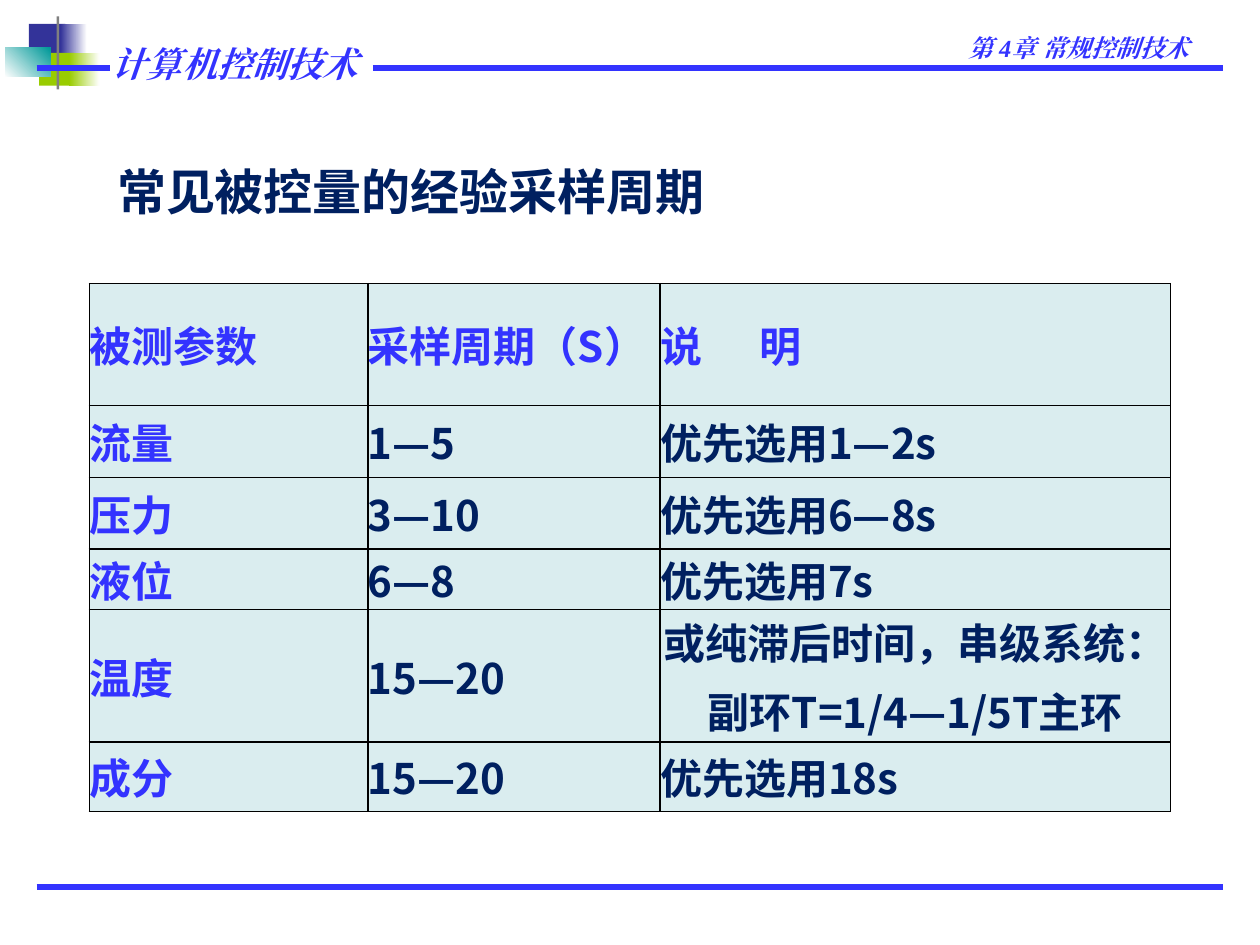
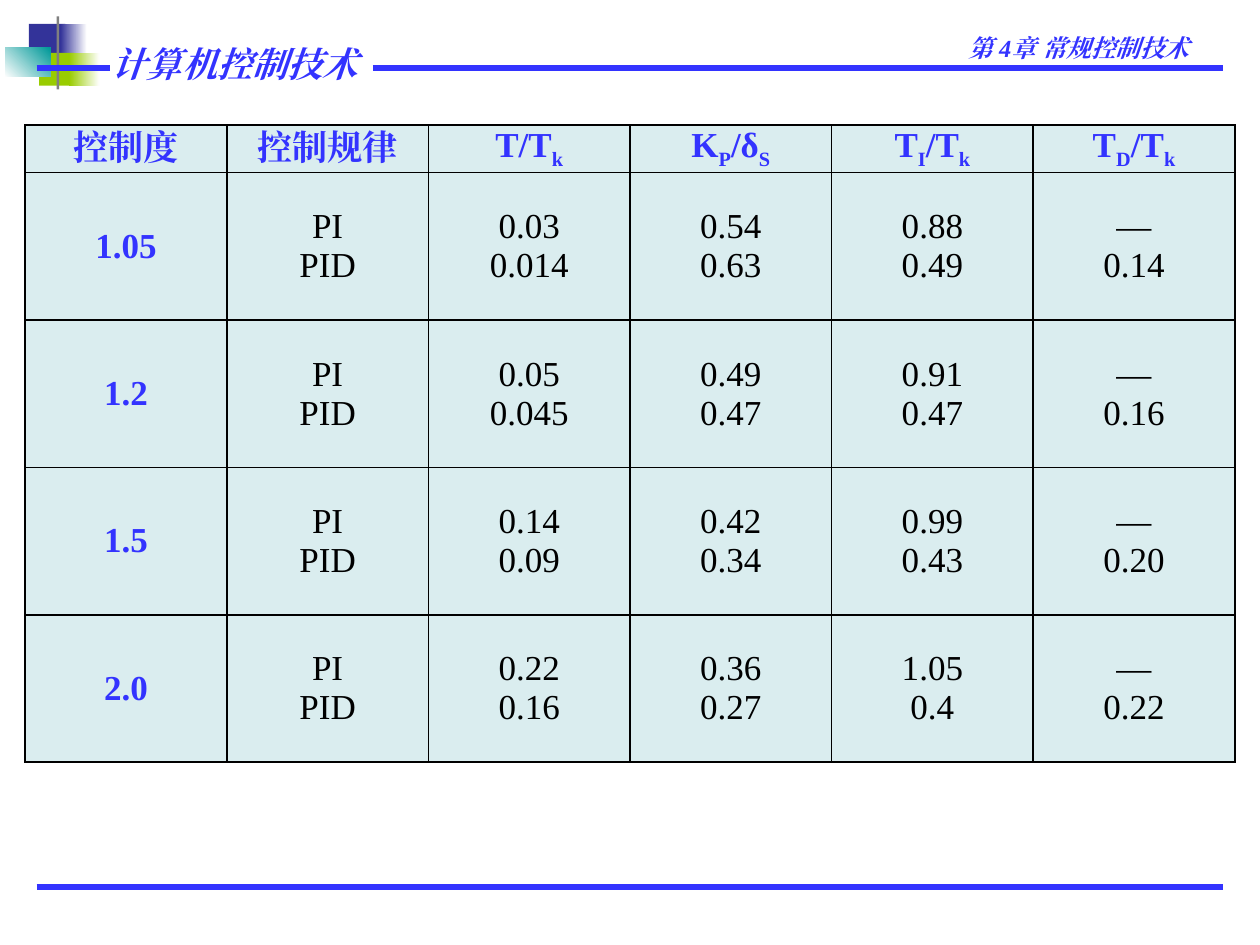
import pptx
import pptx.util
import pptx.dml.color
import pptx.enum.shapes
import pptx.enum.text
import pptx.oxml
import pptx.oxml.ns
from lxml import etree

Inches = pptx.util.Inches
Pt = pptx.util.Pt
Align = pptx.enum.text.PP_ALIGN
Middle = pptx.enum.text.MSO_ANCHOR.MIDDLE
qn = pptx.oxml.ns.qn

COLORS = {
    "blue": "3333FF", "navy": "002060", "black": "000000",
    "white": "FFFFFF", "cell": "DAEDEF", "indigo": "333399",
    "lime": "99CC00", "teal": "009999", "gray": "808080",
}
SERIF = "Times New Roman"
SANS = "Noto Sans CJK SC"

LOGO = [
    ((0.23, 0.19, 0.29, 0.26), ["indigo"], 0),
    ((0.48, 0.19, 0.21, 0.26), ["indigo", "white"], 0),
    ((0.31, 0.42, 0.28, 0.26), ["lime"], 0),
    ((0.55, 0.42, 0.24, 0.26), ["lime", "white"], 0),
    ((0.04, 0.38, 0.36, 0.23), ["white", "teal"], 45),
    ((0.45, 0.13, 0.02, 0.58), ["gray"], 0),
]
RULES = [(2.96, 9.71, 0.54), (0.29, 9.71, 7.04), (0.29, 0.87, 0.54)]

PERIODS = [
    ["被测参数", "采样周期（S）", "说\t明"],
    ["流量", "1—5", "优先选用1—2s"],
    ["压力", "3—10", "优先选用6—8s"],
    ["液位", "6—8", "优先选用7s"],
    ["温度", "15—20", "或纯滞后时间，串级系统：\n副环T=1/4—1/5T主环"],
    ["成分", "15—20", "优先选用18s"],
]
TUNING = [
    ["控制度", "控制规律", "T/T_k", "K_P_/δ_S", "T_I_/T_k", "T_D_/T_k"],
    ["1.05", "PI\nPID", "0.03\n0.014", "0.54\n0.63", "0.88\n0.49", "—\n0.14"],
    ["1.2", "PI\nPID", "0.05\n0.045", "0.49\n0.47", "0.91\n0.47", "—\n0.16"],
    ["1.5", "PI\nPID", "0.14\n0.09", "0.42\n0.34", "0.99\n0.43", "—\n0.20"],
    ["2.0", "PI\nPID", "0.22\n0.16", "0.36\n0.27", "1.05\n0.4", "—\n0.22"],
]


def rgb(name):
    return pptx.dml.color.RGBColor.from_string(COLORS[name])


def write(frame, text, size, face, color, bold=True, italic=False,
          align=Align.LEFT, gap=0):
    for row, line in enumerate(text.split("\n")):
        para = frame.add_paragraph() if row else frame.paragraphs[0]
        para.alignment = align
        para.space_before = Pt(gap if row else 0)
        for part, words in enumerate(line.split("_")):
            run = para.add_run()
            run.text = words
            font = run.font
            font.size, font.name = Pt(size), face
            font.bold, font.italic = bold, italic
            font.color.rgb = rgb(color)
            props = run._r.get_or_add_rPr()
            etree.SubElement(props, qn("a:ea")).set("typeface", face)
            if part % 2:
                props.set("baseline", "-25000")


def add_block(slide, box, tones, angle):
    shape = slide.shapes.add_shape(
        pptx.enum.shapes.MSO_SHAPE.RECTANGLE, *map(Inches, box))
    shape.shadow.inherit = False
    shape.line.fill.background()
    if len(tones) == 1:
        shape.fill.solid()
        shape.fill.fore_color.rgb = rgb(tones[0])
        return
    shape.fill.gradient()
    shape.fill.gradient_angle = angle
    for stop, tone in zip(shape.fill.gradient_stops, tones):
        stop.color.rgb = rgb(tone)


def add_rule(slide, left, right, top):
    line = slide.shapes.add_connector(
        pptx.enum.shapes.MSO_CONNECTOR.STRAIGHT,
        Inches(left), Inches(top), Inches(right), Inches(top))
    line.line.color.rgb = rgb("blue")
    line.line.width = Pt(3)
    etree.SubElement(line._element.spPr, qn("a:effectLst"))


def add_label(slide, box, text, size, align):
    frame = slide.shapes.add_textbox(*map(Inches, box)).text_frame
    frame.word_wrap = True
    write(frame, text, size, SERIF, "blue", italic=True, align=align)


def add_frame(slide):
    for box, tones, angle in LOGO:
        add_block(slide, box, tones, angle)
    for left, right, top in RULES:
        add_rule(slide, left, right, top)
    add_label(slide, (5.37, 0.21, 4.17, 0.34), "第 4章 常规控制技术", 14, Align.RIGHT)
    add_label(slide, (0.79, 0.29, 2.42, 0.43), "计算机控制技术", 20, Align.LEFT)


def add_heading(slide, box, text):
    slide.shapes.title._element.getparent().remove(slide.shapes.title._element)
    body = slide.placeholders[1]
    body.left, body.top, body.width, body.height = map(Inches, box)
    write(body.text_frame, text, 28, SANS, "navy")
    props = body.text_frame.paragraphs[0]._p.get_or_add_pPr()
    props.set("marL", "0")
    props.set("indent", "0")
    etree.SubElement(props, qn("a:buNone"))


def set_edges(cell):
    props = cell._tc.get_or_add_tcPr()
    for spot, side in enumerate("LRTB"):
        edge = pptx.oxml.parse_xml(
            f'<a:ln{side} {pptx.oxml.ns.nsdecls("a")} w="12700"><a:solidFill>'
            f'<a:srgbClr val="{COLORS["black"]}"/></a:solidFill></a:ln{side}>')
        props.insert(spot, edge)


def set_tab(para, place):
    tabs = etree.SubElement(para._p.get_or_add_pPr(), qn("a:tabLst"))
    tab = etree.SubElement(tabs, qn("a:tab"))
    tab.set("pos", str(Inches(place)))
    tab.set("algn", "l")


def add_grid(slide, left, top, cols, rows, data, pad, style, head, plain):
    table = slide.shapes.add_table(
        len(rows), len(cols), Inches(left), Inches(top),
        Inches(sum(cols)), Inches(sum(rows))).table
    table.first_row = table.horz_banding = False
    for col, width in zip(table.columns, cols):
        col.width = Inches(width)
    for row, height in zip(table.rows, rows):
        row.height = Inches(height)
    for r, texts in enumerate(data):
        for c, text in enumerate(texts):
            cell = table.cell(r, c)
            cell.margin_left = cell.margin_right = Inches(pad)
            cell.margin_top = cell.margin_bottom = 0
            cell.vertical_anchor = Middle
            cell.fill.solid()
            cell.fill.fore_color.rgb = rgb("cell")
            set_edges(cell)
            look = dict(style, **(plain if r and c else head))
            if "\n" in text:
                look["align"] = Align.CENTER
            write(cell.text_frame, text, **look)
            if "\t" in text:
                set_tab(cell.text_frame.paragraphs[0], 0.79)


def add_periods(deck):
    slide = deck.slides.add_slide(deck.slide_layouts[1])
    add_frame(slide)
    add_heading(slide, (0.83, 1.23, 8.5, 0.86), "常见被控量的经验采样周期")
    add_grid(slide, 0.71, 2.25, [2.21, 2.32, 4.05],
             [0.97, 0.57, 0.57, 0.48, 1.05, 0.55], PERIODS, 0,
             {"size": 24, "face": SANS, "gap": 5},
             {"color": "blue"}, {"color": "navy"})


def add_tuning(deck):
    slide = deck.slides.add_slide(deck.slide_layouts[6])
    add_frame(slide)
    add_grid(slide, 0.2, 0.99, [1.6] * 6, [0.38] + [1.17] * 4, TUNING, 0.07,
             {"size": 20, "face": SERIF, "align": Align.CENTER},
             {"color": "blue"}, {"color": "black", "bold": False})


def main():
    deck = pptx.Presentation()
    deck.slide_width, deck.slide_height = Inches(10), Inches(7.5)
    add_periods(deck)
    add_tuning(deck)
    deck.save("out.pptx")


if __name__ == "__main__":
    main()
